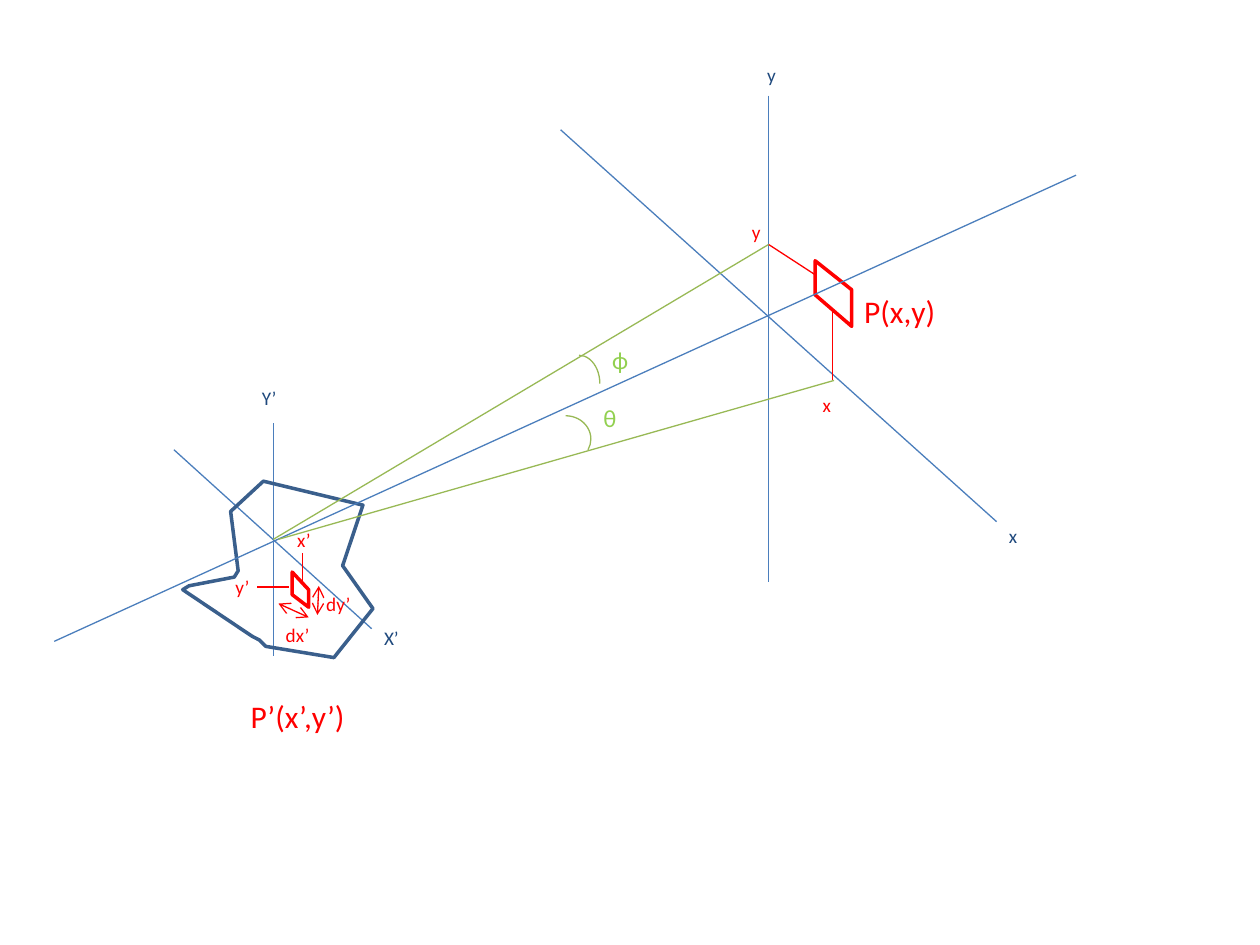
from collections import namedtuple

from lxml.etree import SubElement
from pptx import Presentation
from pptx.dml.color import RGBColor
from pptx.enum.shapes import MSO_CONNECTOR, MSO_SHAPE
from pptx.enum.text import MSO_AUTO_SIZE
from pptx.oxml.ns import qn
from pptx.util import Pt

COLORS = {
    "axis": "4B7EBC",
    "outline": "3A5F8C",
    "axis_label": "1F497D",
    "point": "FF0000",
    "ray": "98B955",
    "angle_label": "92D050",
    "paper": "FFFFFF",
}
THIN, THICK = 0.75, 2
SMALL, MEDIUM, LARGE = 11, 14, 18
LABEL_HEIGHT = {SMALL: 20.9, MEDIUM: 24.5, LARGE: 28.8}
FRAME_FORMAT = {"word_wrap": True, "auto_size": MSO_AUTO_SIZE.SHAPE_TO_FIT_TEXT}

Box = namedtuple("Box", "left top")


def color(name):
    return RGBColor.from_string(COLORS[name])


def set_attributes(target, values):
    for name, value in values.items():
        setattr(target, name, value)


def place(box, point):
    """Turn a point inside the box into slide lengths."""
    return Pt(box.left + point[0]), Pt(box.top + point[1])


def style_line(shape, color_name, width):
    shape.line.color.rgb = color(color_name)
    shape.line.width = Pt(width)


def add_line(slide, box, start, end, color_name, arrows=False):
    connector = slide.shapes.add_connector(
        MSO_CONNECTOR.STRAIGHT, *place(box, start), *place(box, end))
    style_line(connector, color_name, THIN)
    properties = connector._element.spPr
    if arrows:
        line = properties.find(qn("a:ln"))
        for tag in ("a:headEnd", "a:tailEnd"):
            SubElement(line, qn(tag), type="arrow")
    SubElement(properties, qn("a:effectLst"))


def add_polygon(slide, box, points, color_name, fill=None):
    corners = [place(box, point) for point in points]
    builder = slide.shapes.build_freeform(*corners[0], scale=1.0)
    builder.add_line_segments(corners[1:], close=True)
    shape = builder.convert_to_shape()
    shape.shadow.inherit = False
    if fill:
        shape.fill.solid()
        shape.fill.fore_color.rgb = color(fill)
    else:
        shape.fill.background()
    style_line(shape, color_name, THICK)


def add_arc(slide, box, corner, width, height, angles=()):
    arc = slide.shapes.add_shape(
        MSO_SHAPE.ARC, *place(box, corner), Pt(width), Pt(height))
    arc.shadow.inherit = False
    arc.fill.background()
    style_line(arc, "ray", THIN)
    for index, angle in enumerate(angles):
        arc.adjustments[index] = angle


def add_label(slide, box, text, corner, width, color_name, size=SMALL):
    label = slide.shapes.add_textbox(
        *place(box, corner), Pt(width), Pt(LABEL_HEIGHT[size]))
    set_attributes(label.text_frame, FRAME_FORMAT)
    run = label.text_frame.paragraphs[0].add_run()
    run.text = text
    set_attributes(run.font, {"name": "Calibri", "size": Pt(size)})
    run.font.color.rgb = color(color_name)


def add_object_plane(slide, box):
    for start, end in (((3.4, 41), (116.4, 143.3)),
                       ((60.2, 25.9), (60.2, 159.1))):
        add_line(slide, box, start, end, "axis")
    outline = [(54.5, 59), (111.4, 72.7), (99.8, 107.3), (117.1, 131.8),
               (94.8, 159.8), (55.9, 153.4), (52.3, 149.8), (48, 147.6),
               (8.4, 121), (12, 118.8), (37.9, 113.8), (40.1, 110.2),
               (35.8, 76.3)]
    add_polygon(slide, box, outline, "outline")
    patch = [(71, 123.8), (71, 110.9), (80.4, 121), (80.4, 131)]
    add_polygon(slide, box, patch, "point")
    for start, end, arrows in (
            ((76.8, 116.6), (76.8, 100.1), False),
            ((68.9, 119.5), (50.9, 119.5), False),
            ((86.2, 118.8), (85.4, 135.4), True),
            ((80.4, 136.8), (63.1, 128.9), True)):
        add_line(slide, box, start, end, "point", arrows)
    for text, corner, width, color_name in (
            ("x’", (66.7, 82.1), 38.9, "point"),
            ("y’", (31.4, 109.4), 38.9, "point"),
            ("dx’", (60.2, 136.8), 85, "point"),
            ("dy’", (83.3, 118.8), 85, "point"),
            ("X’", (116.4, 138.2), 38.9, "axis_label"),
            ("Y’", (46.6, 1.4), 38.9, "axis_label")):
        add_label(slide, box, text, corner, width, color_name)
    add_label(slide, box, "P’(x’,y’)", (40.1, 178.6), 90.7, "point", LARGE)


def add_image_plane(slide, box):
    patch = [(145.8, 117), (166.7, 133.6), (166.7, 154.5), (145.8, 136.5)]
    add_polygon(slide, box, patch, "point", fill="paper")
    for start, end, color_name in (
            ((119.2, 22.7), (119.2, 300.6), "axis"),
            ((0.4, 42.2), (249.5, 266.1), "axis"),
            ((155.9, 145.8), (155.9, 185.4), "point"),
            ((119.2, 107.7), (145.8, 125), "point")):
        add_line(slide, box, start, end, color_name)
    for text, corner, width, color_name in (
            ("y", (111.3, 0.4), 38.9, "axis_label"),
            ("x", (249.5, 263.9), 38.9, "axis_label"),
            ("y", (102.6, 90.4), 33.8, "point"),
            ("x", (143, 189), 33.8, "point")):
        add_label(slide, box, text, corner, width, color_name)
    add_label(slide, box, "P(x,y)", (166.7, 131.4), 73.4, "point", LARGE)


def add_projection(slide, box):
    """Draw the optical axis, the two rays and their angles."""
    for start, end, color_name in (
            ((126.2, 208.2), (409.2, 39.7), "ray"),
            ((1, 266.5), (584.9, 0.1), "axis"),
            ((129.1, 208.2), (446.6, 117.4), "ray")):
        add_line(slide, box, start, end, color_name)
    add_arc(slide, box, (289, 103), 23.8, 32.4)
    add_arc(slide, box, (278.9, 137.6), 28.8, 26.6, angles=(162, 15.4))
    for text, corner in (("ϕ", (312.7, 93.7)), ("θ", (307.7, 126.8))):
        add_label(slide, box, text, corner, 33.8, "angle_label", MEDIUM)


def main():
    presentation = Presentation()
    set_attributes(presentation, {"slide_width": Pt(720), "slide_height": Pt(540)})
    slide = presentation.slides.add_slide(presentation.slide_layouts[6])
    add_object_plane(slide, Box(96, 216))
    add_image_plane(slide, Box(320, 32))
    add_projection(slide, Box(30, 100))
    presentation.save("out.pptx")


if __name__ == "__main__":
    main()
